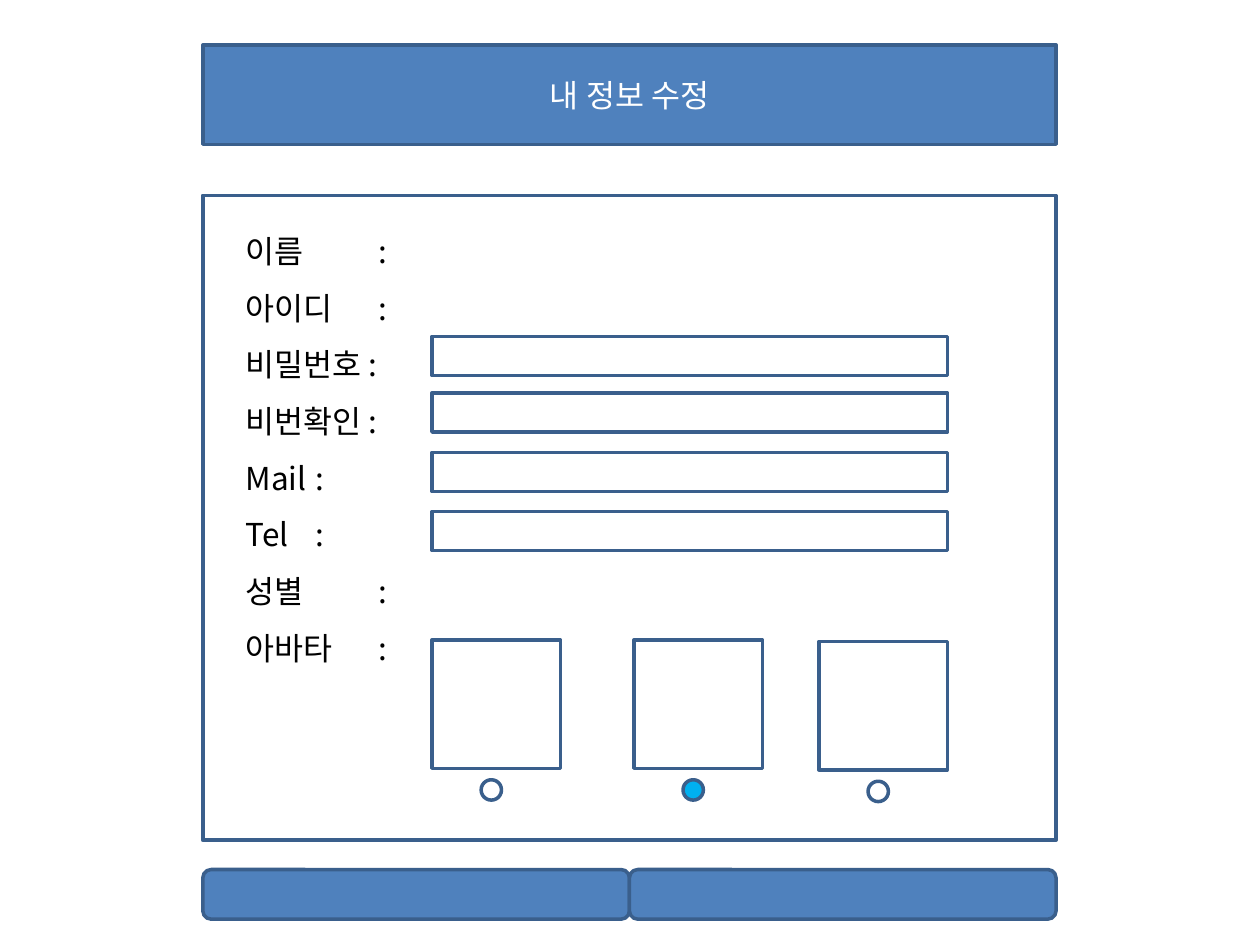
from lxml.etree import SubElement
from pptx import Presentation
from pptx.dml.color import RGBColor
from pptx.enum.shapes import MSO_SHAPE
from pptx.enum.text import MSO_ANCHOR, MSO_AUTO_SIZE, PP_ALIGN
from pptx.oxml.ns import qn
from pptx.util import Cm, Pt

COLORS = {
    "blue": "4F81BD",
    "outline": "3A5F8C",
    "white": "FFFFFF",
    "black": "000000",
    "selected": "00B0F0",
}
FONT = "Noto Sans CJK KR"


def write_text(paragraph, text, color="black", size=18, align=PP_ALIGN.LEFT, spacing=1.0):
    paragraph.alignment = align
    paragraph.line_spacing = spacing
    run = paragraph.add_run()
    run.text = text
    run.font.size = Pt(size)
    run.font.color.rgb = RGBColor.from_string(COLORS[color])
    run.font.name = FONT
    SubElement(run.font._element, qn("a:ea"), typeface=FONT)


def add_box(shapes, left, top, width, height, fill="white", kind=MSO_SHAPE.RECTANGLE):
    shape = shapes.add_shape(kind, Cm(left), Cm(top), Cm(width), Cm(height))
    shape.shadow.inherit = False
    shape.fill.solid()
    shape.fill.fore_color.rgb = RGBColor.from_string(COLORS[fill])
    shape.line.color.rgb = RGBColor.from_string(COLORS["outline"])
    shape.line.width = Pt(2)


presentation = Presentation()
presentation.slide_width = Cm(25.4)
presentation.slide_height = Cm(19.05)
slide = presentation.slides.add_slide(presentation.slide_layouts[5])

page_left, page_width = 4.09, 17.2

# Title banner
title = slide.shapes.title
title.left, title.top = Cm(page_left), Cm(0.91)
title.width, title.height = Cm(page_width), Cm(2)
title.fill.solid()
title.fill.fore_color.rgb = RGBColor.from_string(COLORS["blue"])
title.line.color.rgb = RGBColor.from_string(COLORS["outline"])
title.line.width = Pt(2)
title.text_frame.vertical_anchor = MSO_ANCHOR.MIDDLE
write_text(title.text_frame.paragraphs[0], "내 정보 수정", color="white", align=PP_ALIGN.CENTER)

# Form panel
add_box(slide.shapes, page_left, 3.94, page_width, 13)

# Field labels
labels = ["이름 \t :", "아이디 \t :", "비밀번호 :", "비번확인 :",
          "Mail\t :", "Tel\t :", "성별 \t :", "아바타 \t :"]
label_box = slide.shapes.add_textbox(Cm(4.7), Cm(4.17), Cm(3.45), Cm(10.26))
label_frame = label_box.text_frame
label_frame.word_wrap = False
label_frame.auto_size = MSO_AUTO_SIZE.SHAPE_TO_FIT_TEXT
for index, label in enumerate(labels):
    paragraph = label_frame.add_paragraph() if index else label_frame.paragraphs[0]
    write_text(paragraph, label, spacing=1.5)

# Input fields: password, confirmation, mail, telephone
field_left = 8.71
for top in (6.78, 7.92, 9.12, 10.31):
    add_box(slide.shapes, field_left, top, 10.39, 0.79)

# Avatar choices, each a frame with a radio button below
avatars = [(field_left, 12.9, "white"), (12.78, 12.9, "selected"), (16.51, 12.93, "white")]
for left, top, radio_fill in avatars:
    group = slide.shapes.add_group_shape()
    add_box(group.shapes, left, top, 2.59, 2.59)
    add_box(group.shapes, left + 0.99, top + 2.82, 0.41, 0.41, radio_fill, MSO_SHAPE.OVAL)

# Bottom buttons
button_width = page_width / 2
for column in range(2):
    add_box(slide.shapes, page_left + column * button_width, 17.53, button_width, 1,
            "blue", MSO_SHAPE.ROUNDED_RECTANGLE)

presentation.save("out.pptx")
